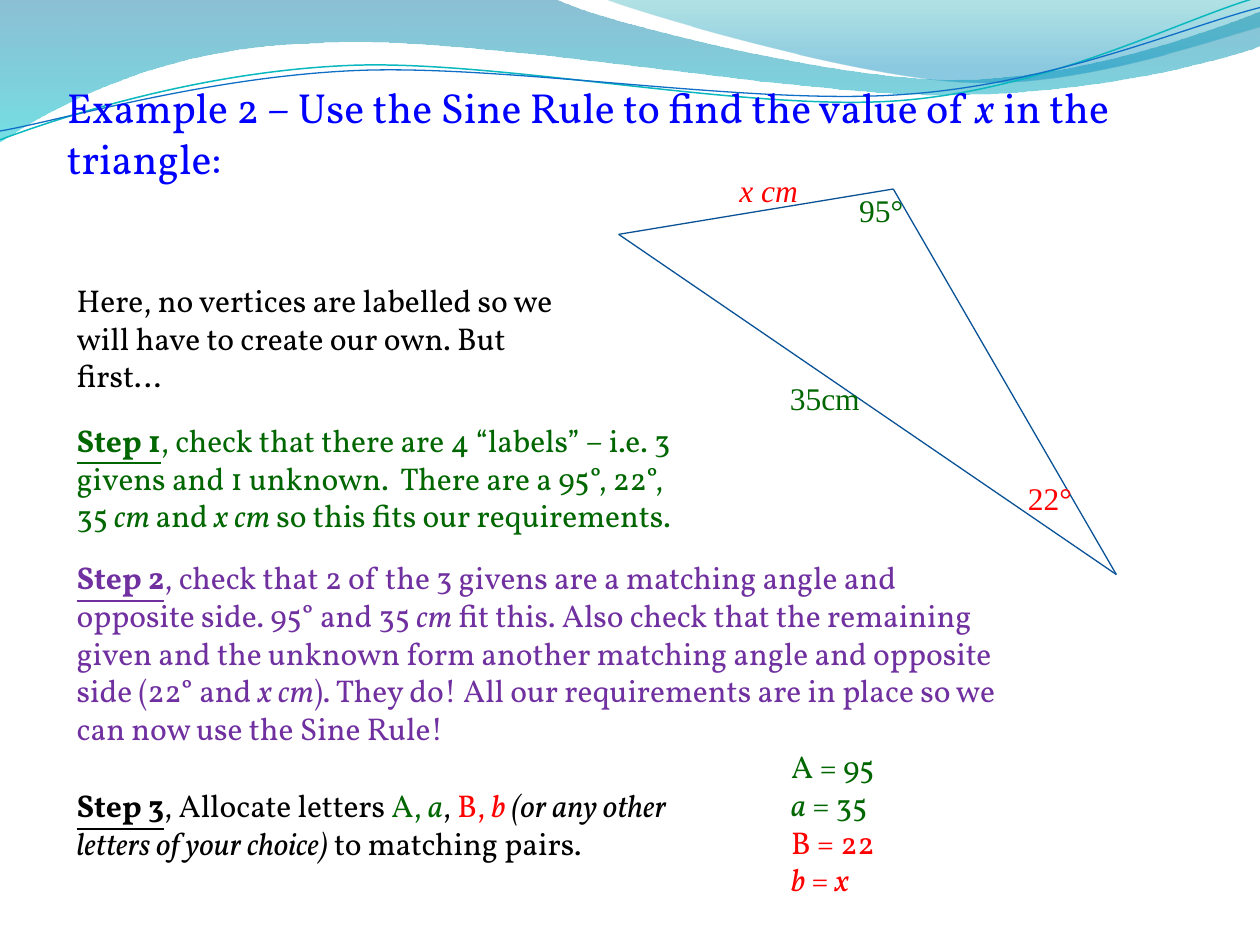
from dataclasses import dataclass
from typing import NamedTuple

from lxml.etree import SubElement
from pptx import Presentation
from pptx.dml.color import RGBColor
from pptx.enum.shapes import MSO_CONNECTOR
from pptx.enum.text import MSO_ANCHOR, MSO_AUTO_SIZE, PP_ALIGN
from pptx.oxml.ns import qn
from pptx.util import Inches, Pt

BODY_FONT, LABEL_FONT = "Vollkorn", "Times New Roman"
BLUE, GREEN, RED, PURPLE, BLACK = "0000FF", "006600", "FF0000", "7030A0", "000000"

Point = tuple[float, float]


class Piece(NamedTuple):
    text: str
    color: str
    italic: bool = False
    heading: bool = False


class Stop(NamedTuple):
    position: float
    color: str
    opacity: int


@dataclass
class Wave:
    """Segments hold one point for a straight edge, three for a Bézier curve."""
    start: Point
    segments: list[tuple[Point, ...]]
    gradient: tuple[Stop, ...] = ()
    line_color: str = ""
    line_width: float = 0


@dataclass
class Block:
    left: float
    top: float
    width: float
    height: float
    paragraphs: list[list[Piece]]
    font: str = BODY_FONT
    size: int = 18


WAVES = [
    Wave((0, 0), [
        ((4.4, -0.01),),
        ((4.76, 0.17), (6.64, 0.63), (7.58, 0.63)),
        ((8.53, 0.63), (9.58, 0.26), (10, 0.09)),
        ((10.01, 0.36),),
        ((9.83, 0.44), (8.7, 0.76), (7.46, 0.75)),
        ((6.22, 0.75), (3.82, 0.28), (2.57, 0.34)),
        ((1.29, 0.36), (0.46, 0.83), (-0.01, 1.13)),
    ], gradient=(Stop(0, "0074A1", 45), Stop(1, "00C6CF", 55))),
    Wave((4.79, -0.01), [
        ((5.09, 0.11), (6.82, 0.62), (7.69, 0.65)),
        ((8.56, 0.69), (9.61, 0.32), (10, 0.21)),
        ((10, 0),),
    ], gradient=(Stop(0, "00A1A9", 30), Stop(0.8, "008BBF", 45))),
    Wave((0, 1.11), [
        ((0.48, 0.93), (1.58, 0.57), (2.77, 0.52)),
        ((3.95, 0.47), (5.93, 0.89), (7.13, 0.8)),
        ((8.33, 0.71), (9.38, 0.15), (9.98, -0.02)),
    ], line_color="0AB8BF", line_width=0.85),
    Wave((0, 1.04), [
        ((0.47, 0.96), (1.64, 0.61), (2.83, 0.56)),
        ((4.03, 0.51), (5.97, 0.84), (7.17, 0.75)),
        ((8.36, 0.67), (9.41, 0.21), (10, 0.06)),
    ], line_color="0F6FC6", line_width=0.75),
]

TITLE = Block(0.43, 0.6, 8.66, 0.91, [[
    Piece("Example 2 – Use the Sine Rule to find the value of ", BLUE),
    Piece("x", BLUE, italic=True),
    Piece(" in the triangle:", BLUE),
]], size=24)

TRIANGLE = [(8.86, 4.56), (4.91, 1.86), (7.09, 1.5)]

TRIANGLE_LABELS = [
    Block(left, top, width, 0.4, [[piece]], LABEL_FONT)
    for left, top, width, piece in [
        (6.72, 1.47, 0.71, Piece("95°", GREEN)),
        (6.17, 2.96, 0.86, Piece("35cm", GREEN)),
        (5.77, 1.31, 0.93, Piece("x cm", RED, italic=True)),
        (8.06, 3.75, 0.71, Piece("22°", RED)),
    ]
]

EXPLANATION = [
    Block(0.51, 2.18, 4.02, 1.01, [[
        Piece("Here, no vertices are labelled so we will have to create our own. "
              "But first…", BLACK),
    ]]),
    Block(0.51, 3.29, 5.12, 1.01, [[
        Piece("Step 1", GREEN, heading=True),
        Piece(", check that there are 4 “labels” – i.e. 3 givens and 1 unknown.  "
              "There are a 95°, 22°, 35 ", GREEN),
        Piece("cm ", GREEN, italic=True),
        Piece("and ", GREEN),
        Piece("x cm", GREEN, italic=True),
        Piece(" so this fits our requirements.", GREEN),
    ]]),
    Block(0.51, 4.38, 7.56, 1.62, [[
        Piece("Step 2", PURPLE, heading=True),
        Piece(", check that 2 of the 3 givens are a matching angle and opposite "
              "side. 95° and 35 ", PURPLE),
        Piece("cm", PURPLE, italic=True),
        Piece(" fit this. Also check that the remaining given and the unknown form "
              "another matching angle and opposite side (22° and ", PURPLE),
        Piece("x cm", PURPLE, italic=True),
        Piece("). They do! All our requirements are in place so we can now use the "
              "Sine Rule!", PURPLE),
    ]]),
    Block(0.51, 6.19, 4.96, 1.01, [[
        Piece("Step 3", BLACK, heading=True),
        Piece(", Allocate letters ", BLACK),
        Piece("A, ", GREEN),
        Piece("a", GREEN, italic=True),
        Piece(", ", BLACK),
        Piece("B, ", RED),
        Piece("b ", RED, italic=True),
        Piece("(or any other letters of your choice) ", BLACK, italic=True),
        Piece("to matching pairs.", BLACK),
    ]]),
    Block(6.18, 5.88, 2.05, 1.62, [
        [Piece("A = 95", GREEN)],
        [Piece("a", GREEN, italic=True), Piece(" = 35", GREEN)],
        [Piece("B = 22", RED)],
        [Piece("b", RED, italic=True), Piece(" = ", RED), Piece("x", RED, italic=True)],
    ]),
]


def rgb(color: str) -> RGBColor:
    return RGBColor.from_string(color)


def bend_edges(shape, segments: list[tuple[Point, ...]]) -> None:
    """Turn the straight edges of a freeform into Bézier curves where given."""
    edges = list(shape._element.spPr.iter(qn("a:lnTo")))
    for edge, (*controls, _) in zip(edges, segments):
        if not controls:
            continue
        edge.tag = qn("a:cubicBezTo")
        for index, (x, y) in enumerate(controls):
            control = SubElement(edge, qn("a:pt"))
            control.set("x", str(Inches(x) - shape.left))
            control.set("y", str(Inches(y) - shape.top))
            edge.insert(index, control)


def draw_wave(shapes, wave: Wave) -> None:
    builder = shapes.build_freeform(*(Inches(value) for value in wave.start))
    builder.add_line_segments([(Inches(x), Inches(y)) for *_, (x, y) in wave.segments],
                              close=bool(wave.gradient))
    shape = builder.convert_to_shape()
    bend_edges(shape, wave.segments)
    shape.shadow.inherit = False
    if not wave.gradient:
        shape.fill.background()
        shape.line.color.rgb = rgb(wave.line_color)
        shape.line.width = Pt(wave.line_width)
        return
    shape.line.fill.background()
    shape.fill.gradient()
    shape.fill.gradient_angle = 270
    for target, stop in zip(shape.fill.gradient_stops, wave.gradient):
        target.position = stop.position
        target.color.rgb = rgb(stop.color)
    colors = shape._element.spPr.iter(qn("a:srgbClr"))
    for color, stop in zip(colors, wave.gradient):
        SubElement(color, qn("a:alpha")).set("val", str(stop.opacity * 1000))


def draw_side(shapes, start: Point, end: Point) -> None:
    side = shapes.add_connector(
        MSO_CONNECTOR.STRAIGHT, *(Inches(value) for value in start + end))
    side.line.color.rgb = rgb("095295")
    side.line.width = Pt(0.75)
    SubElement(side._element.spPr, qn("a:effectLst"))


def fill_text(shape, block: Block) -> None:
    frame = shape.text_frame
    frame.word_wrap = True
    frame.auto_size = MSO_AUTO_SIZE.NONE
    frame.vertical_anchor = MSO_ANCHOR.TOP
    for index, pieces in enumerate(block.paragraphs):
        paragraph = frame.add_paragraph() if index else frame.paragraphs[0]
        paragraph.alignment = PP_ALIGN.LEFT
        for piece in pieces:
            run = paragraph.add_run()
            run.text = piece.text
            font = run.font
            font.name, font.size = block.font, Pt(block.size)
            font.color.rgb = rgb(piece.color)
            font.italic = piece.italic
            font.bold = font.underline = piece.heading


def draw_block(shapes, block: Block) -> None:
    box = shapes.add_textbox(*map(Inches, (block.left, block.top,
                                           block.width, block.height)))
    fill_text(box, block)


def draw_title(shapes, block: Block) -> None:
    title = shapes.title
    title.left, title.top = Inches(block.left), Inches(block.top)
    title.width, title.height = Inches(block.width), Inches(block.height)
    fill_text(title, block)
    shapes._spTree.append(title._element)  # in front of the waves


def main() -> None:
    presentation = Presentation()
    presentation.slide_width, presentation.slide_height = Inches(10), Inches(7.5)
    shapes = presentation.slides.add_slide(presentation.slide_layouts[5]).shapes
    for wave in WAVES:
        draw_wave(shapes, wave)
    draw_title(shapes, TITLE)
    diagram = shapes.add_group_shape().shapes
    for start, end in zip(TRIANGLE, TRIANGLE[1:] + TRIANGLE[:1]):
        draw_side(diagram, start, end)
    for label in TRIANGLE_LABELS:
        draw_block(diagram, label)
    for block in EXPLANATION:
        draw_block(shapes, block)
    presentation.save("out.pptx")


if __name__ == "__main__":
    main()
